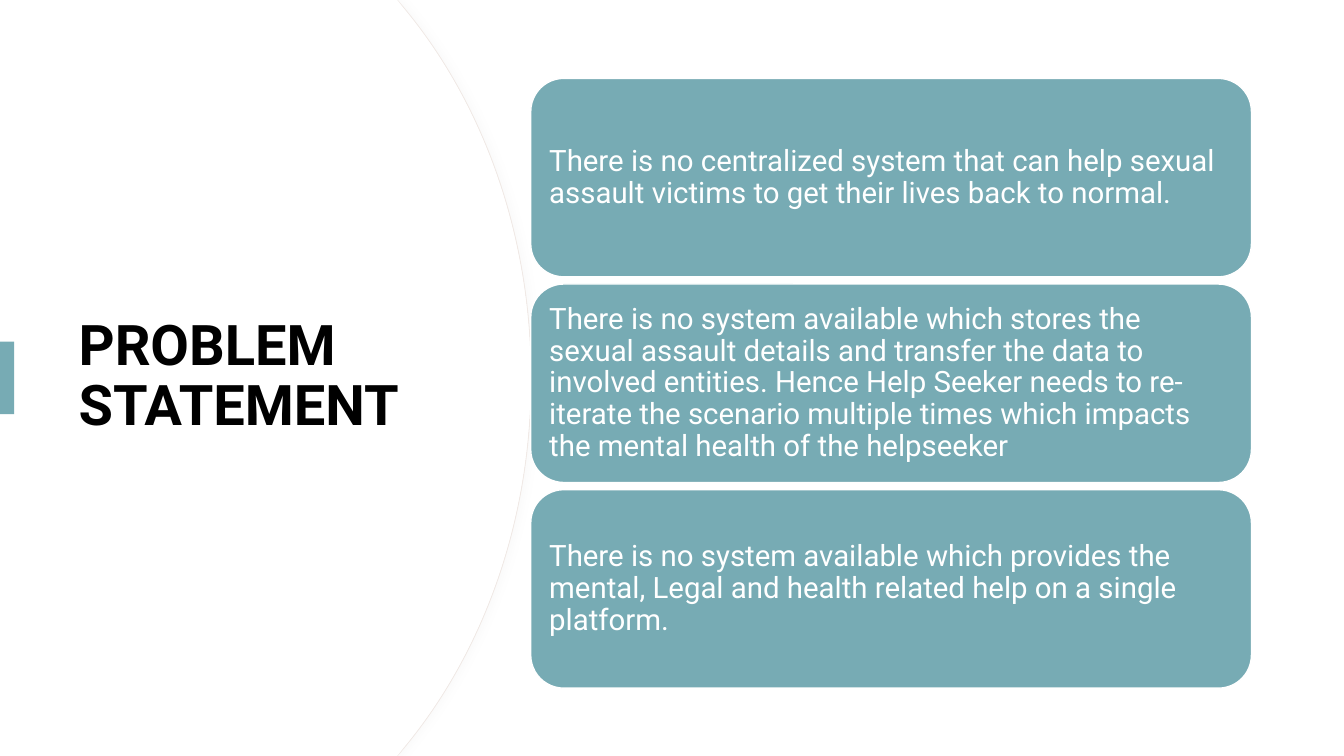
from lxml import etree
from pptx import Presentation
from pptx.dml.color import RGBColor
from pptx.enum import shapes, text
from pptx.oxml import ns
from pptx.util import Pt

TITLE = "PROBLEM STATEMENT"
PROBLEMS = [
    "There is no centralized system that can help sexual assault victims "
    "to get their lives back to normal.",
    "There is no system available which stores the sexual assault details and "
    "transfer the data to involved entities. Hence Help Seeker needs to "
    "re-iterate the scenario multiple times which impacts the mental health "
    "of the helpseeker",
    "There is no system available which provides the mental, Legal and health "
    "related help on a single platform.",
]
COLORS = {"teal": "77ABB4", "white": "FFFFFF", "black": "000000",
          "edge": "F0E9E5", "shadow": "D9D9D9"}
FONT = "Roboto"
WIDTH, HEIGHT = 960, 540

TITLE_BOX = (49, 91.4, 283.7, 356.4)
ACCENT_BOX = (0, 244.1, 10.1, 51.8)
CARD_LEFT, CARD_TOP, CARD_WIDTH, CARD_HEIGHT = 379.1, 56, 514.8, 141.8
CARD_PITCH = 146.9
# Upper half of the panel's curved edge, as Bezier control points
CURVE = [(288.2, 5.76), (344.4, 73.4), (379, 167), (379, 270)]
PANEL_TOP_RIGHT = 283.7

TITLE_FORMAT = {"size": Pt(40), "bold": True, "name": FONT}
CARD_FORMAT = {"size": Pt(21), "bold": False, "name": FONT}


def color(name):
    return RGBColor.from_string(COLORS[name])


def write(shape, words, font_format, ink, insets):
    frame = shape.text_frame
    frame.word_wrap = True
    frame.auto_size = text.MSO_AUTO_SIZE.NONE
    frame.vertical_anchor = text.MSO_ANCHOR.MIDDLE
    for side, inset in zip(("left", "top", "right", "bottom"), insets):
        setattr(frame, f"margin_{side}", Pt(inset))
    para = frame.paragraphs[0]
    para.alignment = text.PP_ALIGN.LEFT
    para.line_spacing = 0.9
    span = para.add_run()
    span.text = words
    for key, value in font_format.items():
        setattr(span.font, key, value)
    span.font.color.rgb = color(ink)


def add_block(page, kind, box, fill):
    shape = page.shapes.add_shape(kind, *map(Pt, box))
    shape.shadow.inherit = False
    shape.fill.solid()
    shape.fill.fore_color.rgb = color(fill)
    shape.line.fill.background()
    return shape


def bend(segment, controls):
    """Turn a straight freeform segment into a Bezier curve to the same end."""
    segment.tag = ns.qn("a:cubicBezTo")
    for index, (x, y) in enumerate(controls):
        point = etree.Element(ns.qn("a:pt"), x=str(Pt(x)), y=str(Pt(y)))
        segment.insert(index, point)


def add_panel(page, extra):
    """Add the round-edged white panel, its curve pushed right by extra points."""
    start, first, second, middle = [(x + extra, y) for x, y in CURVE]
    mirror = {p: (p[0], HEIGHT - p[1]) for p in (start, first, second)}
    outline = [(PANEL_TOP_RIGHT, 0), start, middle, mirror[start],
               (PANEL_TOP_RIGHT, HEIGHT), (0, HEIGHT)]
    builder = page.shapes.build_freeform(0, 0)
    builder.add_line_segments([(Pt(x), Pt(y)) for x, y in outline], close=True)
    panel = builder.convert_to_shape()
    segments = list(panel.element.iter(ns.qn("a:lnTo")))
    bend(segments[2], (first, second))
    bend(segments[3], (mirror[second], mirror[first]))
    panel.shadow.inherit = False
    panel.fill.solid()
    panel.fill.fore_color.rgb = color("white")
    panel.line.fill.background()
    return panel


def add_shadow(shape):
    effects = shape.element.spPr.find(ns.qn("a:effectLst"))
    shadow = etree.SubElement(effects, ns.qn("a:outerShdw"), blurRad=str(Pt(4)),
                              dist=str(Pt(3)), dir="0", algn="l", rotWithShape="0")
    tint = etree.SubElement(shadow, ns.qn("a:srgbClr"), val=COLORS["shadow"])
    etree.SubElement(tint, ns.qn("a:alpha"), val="10000")


def main():
    deck = Presentation()
    deck.slide_width, deck.slide_height = Pt(WIDTH), Pt(HEIGHT)
    page = deck.slides.add_slide(deck.slide_layouts[5])

    edge_panel = add_panel(page, 0.4)
    edge_panel.line.color.rgb = color("edge")
    edge_panel.line.width = Pt(0.75)
    add_shadow(edge_panel)
    add_panel(page, 0)

    title = page.shapes.title
    for key, value in zip(("left", "top", "width", "height"), TITLE_BOX):
        setattr(title, key, Pt(value))
    write(title, TITLE, TITLE_FORMAT, "black", (7.2, 3.6, 7.2, 3.6))
    # The title must stand in front of the panel
    title.element.getparent().append(title.element)

    add_block(page, shapes.MSO_SHAPE.RECTANGLE, ACCENT_BOX, "teal")

    for row, problem in enumerate(PROBLEMS):
        box = (CARD_LEFT, CARD_TOP + row * CARD_PITCH, CARD_WIDTH, CARD_HEIGHT)
        card = add_block(page, shapes.MSO_SHAPE.ROUNDED_RECTANGLE, box, "teal")
        card.line.color.rgb = color("white")
        card.line.width = Pt(1)
        # The rounded corners add about 7 points of inset of their own
        write(card, problem, CARD_FORMAT, "white", (6.3, 6.3, 8.3, 6.3))

    deck.save("out.pptx")


if __name__ == "__main__":
    main()
